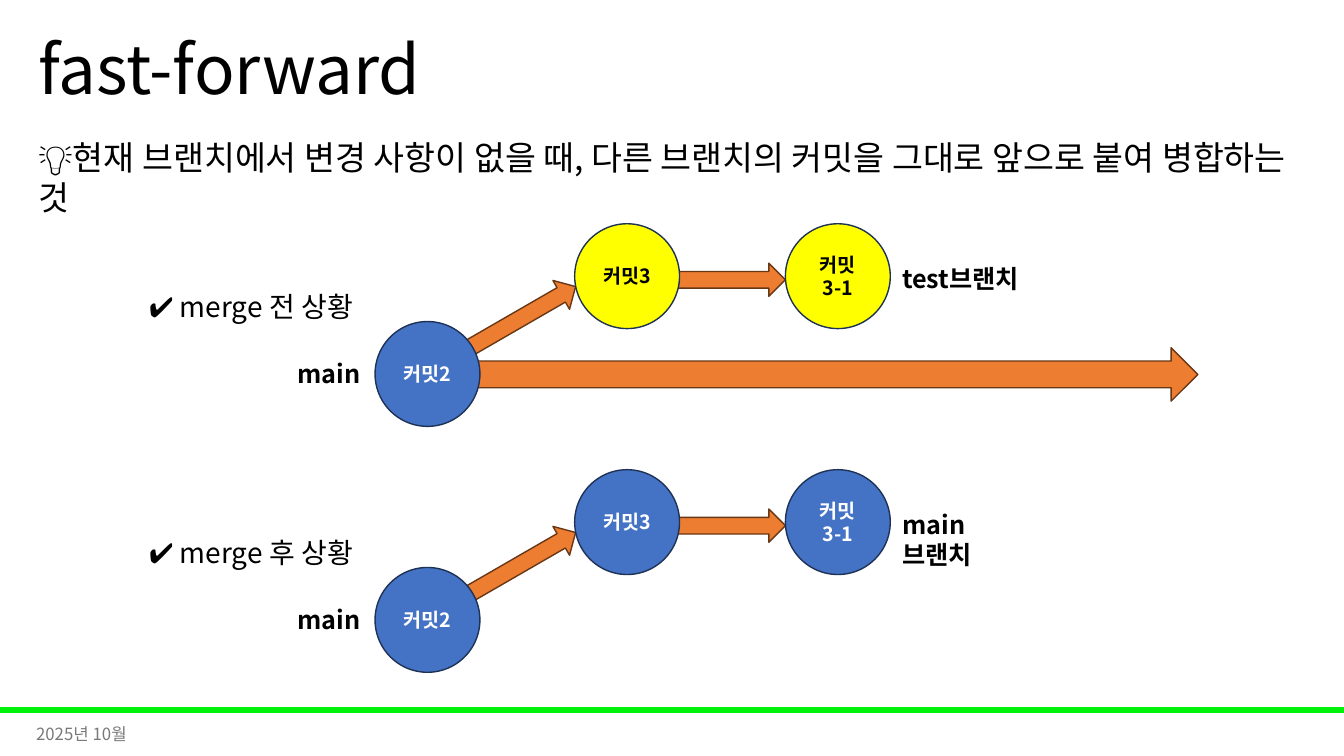
from lxml import etree
from pptx import Presentation, util as u
from pptx.dml.color import RGBColor
from pptx.enum import shapes, text
from pptx.oxml.ns import qn

FONT = "Noto Sans CJK KR"
BLACK = RGBColor(0x00, 0x00, 0x00)
WHITE = RGBColor(0xFF, 0xFF, 0xFF)
GRAY = RGBColor(0x79, 0x79, 0x79)
GREEN = RGBColor(0x00, 0xF2, 0x09)
BLUE = RGBColor(0x44, 0x72, 0xC4)
NAVY = RGBColor(0x1E, 0x32, 0x56)
YELLOW = RGBColor(0xFF, 0xFF, 0x00)
ORANGE = RGBColor(0xED, 0x7D, 0x31)
BROWN = RGBColor(0x68, 0x37, 0x15)

WIDE, HIGH = 13.33, 7.5
DOT = 1.04      # diameter of a commit
STEM = 0.33     # width of a small arrow
KIND = shapes.MSO_SHAPE
MID = text.MSO_ANCHOR.MIDDLE


def style(frame, words, size, color, bold=False):
    para = frame.paragraphs[0]
    para.text = words
    font = para.font
    font.size, font.bold, font.name = u.Pt(size), bold, FONT
    font.color.rgb = color
    # East Asian letters take the same font
    east = etree.SubElement(para._p.pPr.find(qn("a:defRPr")), qn("a:ea"))
    east.set("typeface", FONT)
    return para


def label(slide, box, words, size, color=BLACK, bold=False, wrap=False,
          anchor=text.MSO_ANCHOR.TOP, grow=True):
    frame = slide.shapes.add_textbox(*map(u.Inches, box)).text_frame
    frame.word_wrap = wrap
    frame.vertical_anchor = anchor
    if grow:
        frame.auto_size = text.MSO_AUTO_SIZE.SHAPE_TO_FIT_TEXT
    return style(frame, words, size, color, bold)


def solid(slide, kind, box, fill, line, turn=0):
    shape = slide.shapes.add_shape(kind, *map(u.Inches, box))
    shape.shadow.inherit = False
    shape.fill.solid()
    shape.fill.fore_color.rgb = fill
    shape.line.color.rgb = line
    shape.line.width = u.Pt(1)
    shape.rotation = turn
    return shape


def arrow(slide, kind, box, turn=0):
    solid(slide, kind, box, ORANGE, BROWN, turn)


def commit(slide, left, top, words, fill, color):
    dot = solid(slide, KIND.OVAL, (left, top, DOT, DOT), fill, NAVY)
    dot.text_frame.word_wrap = True
    dot.text_frame.vertical_anchor = MID
    para = style(dot.text_frame, words, 14, color, True)
    para.alignment = text.PP_ALIGN.CENTER


def header(slide, left, top, width):
    title = label(slide, (left, top, 11.5, 1.45), "fast-forward", 48,
                  wrap=True, anchor=MID, grow=False)
    title.line_spacing = 0.9
    label(slide, (left, top + 1.31, width, 0.5),
          "💡현재 브랜치에서 변경 사항이 없을 때, 다른 브랜치의 커밋을 "
          "그대로 앞으로 붙여 병합하는 것", 24, wrap=True)


def scene(slide, left, top, when, branch, fill, color, ahead=False):
    """One commit graph: main at the lower left, its branch above."""
    base = top + 0.97
    label(slide, (left, top + 0.6, 2.31, 0.44), when, 20)
    # Arrows lie behind the commits
    arrow(slide, KIND.DOWN_ARROW, (left + 3.64, top + 0.32, STEM, 1.21), 240)
    arrow(slide, KIND.DOWN_ARROW, (left + 5.7, top + 0.01, STEM, 1.09), 270)
    if ahead:
        arrow(slide, KIND.RIGHT_ARROW, (left + 2.51, base + 0.26, 7.99, 0.53))
    # Commits
    commit(slide, left + 2.34, base, "커밋2", BLUE, WHITE)
    commit(slide, left + 4.32, top, "커밋3", fill, color)
    commit(slide, left + 6.41, top, "커밋3-1", fill, color)
    # Branch names
    label(slide, (left + 1.47, base + 0.32, 0.88, 0.4), "main", 18, bold=True)
    label(slide, (left + 7.47, top + 0.34, 1.5, 0.4), branch, 18, bold=True)


def footer(slide, top):
    solid(slide, KIND.RECTANGLE, (0, top, WIDE, 0.05), GREEN, GREEN)
    label(slide, (0.26, top + 0.06, 3, 0.4), "2025년 10월", 12, GRAY,
          wrap=True, anchor=MID, grow=False)


def main():
    deck = Presentation()
    deck.slide_width, deck.slide_height = u.Inches(WIDE), u.Inches(HIGH)
    slide = deck.slides.add_slide(deck.slide_layouts[6])
    footer(slide, 7.02)
    header(slide, 0.28, 0, 12.7)
    scene(slide, 1.38, 2.22, "✔️ merge 전 상황", "test브랜치",
          YELLOW, BLACK, ahead=True)
    scene(slide, 1.38, 4.66, "✔️ merge 후 상황", "main브랜치", BLUE, WHITE)
    deck.save("out.pptx")


if __name__ == "__main__":
    main()
